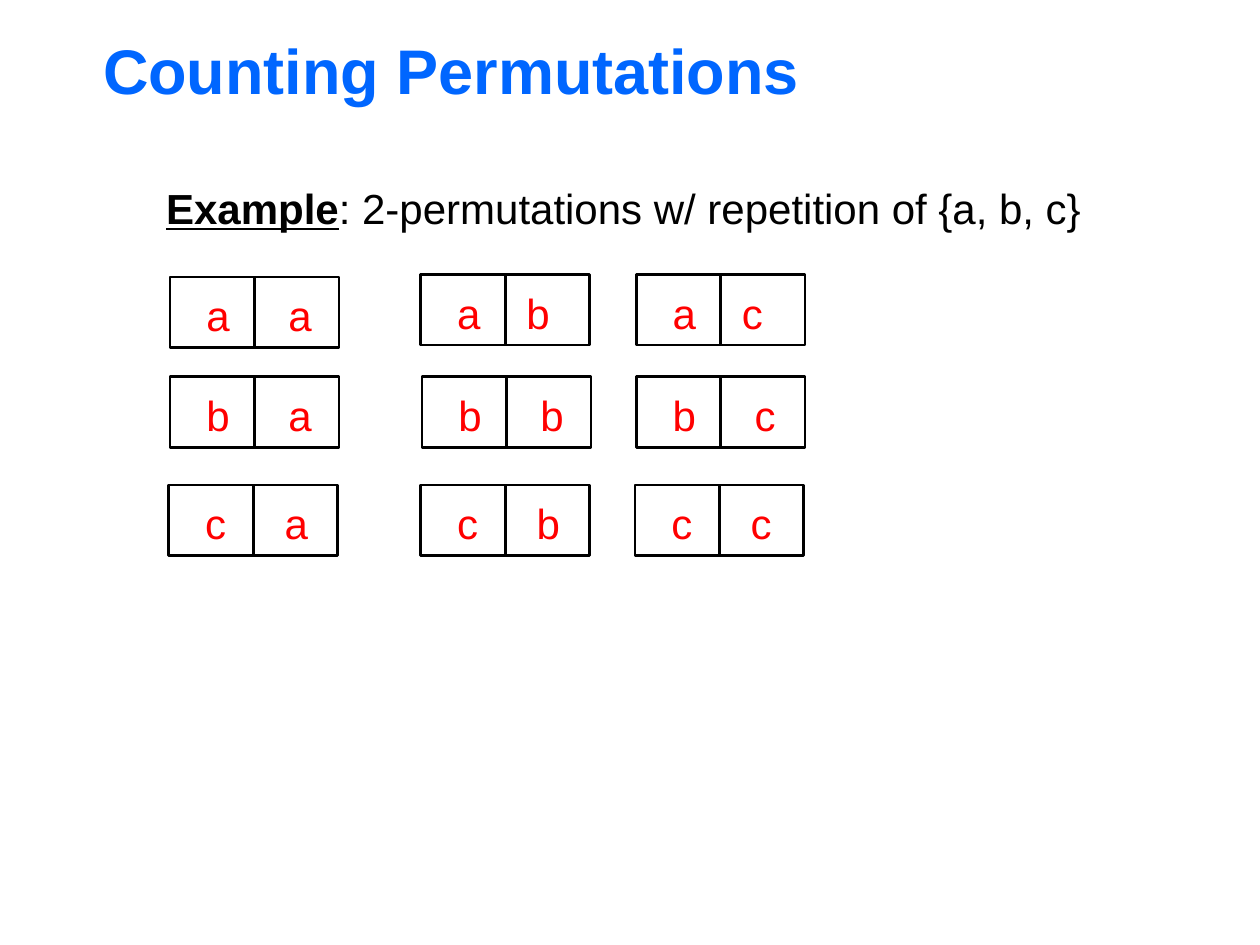
from pptx import Presentation
from pptx.dml.color import RGBColor
from pptx.enum import shapes, text
from pptx.oxml import parse_xml
from pptx.oxml.ns import nsdecls
from pptx.util import Inches, Pt

BLUE = RGBColor(0x00, 0x66, 0xFF)
BLACK = RGBColor(0, 0, 0)
RED = RGBColor(0xFF, 0, 0)
FONT = "Arial"

CELL_WIDTH, CELL_HEIGHT = 0.67, 0.56
WIDE, NARROW = 0.65, 0.55  # distance from first to second letter

# Letters, left, top, letter distance
PAIRS = [
    ("aa", 1.35, 2.2, WIDE), ("ab", 3.34, 2.18, NARROW), ("ac", 5.05, 2.18, NARROW),
    ("ba", 1.35, 2.99, WIDE), ("bb", 3.35, 2.99, WIDE), ("bc", 5.05, 2.99, WIDE),
    ("ca", 1.34, 3.85, 0.63), ("cb", 3.34, 3.85, 0.63), ("cc", 5.04, 3.85, 0.63),
]


def add_text(page, left, top, width, height, spans, size, color):
    """Add one line of text; spans are (words, bold, underline)."""
    box = page.shapes.add_textbox(Inches(left), Inches(top), Inches(width), Inches(height))
    frame = box.text_frame
    frame.word_wrap = True
    para = frame.paragraphs[0]
    for words, bold, underline in spans:
        span = para.add_run()
        span.text = words
        font = span.font
        font.name, font.size, font.bold = FONT, Pt(size), bold
        font.underline = underline
        font.color.rgb = color
    return box


def add_cell(page, left, top):
    cell = page.shapes.add_shape(shapes.MSO_SHAPE.RECTANGLE, Inches(left), Inches(top),
                                 Inches(CELL_WIDTH), Inches(CELL_HEIGHT))
    cell.shadow.inherit = False
    cell.fill.background()
    cell.line.color.rgb = BLACK
    cell.line.width = Pt(1.5)


def add_pair(page, letters, left, top, distance):
    """Add two adjoining cells and their letters, spaced by a tab stop."""
    for index in range(2):
        add_cell(page, left + index * CELL_WIDTH, top)
    box = add_text(page, left + 0.19, top + 0.05, 1.32, 0.5,
                   [("\t".join(letters), False, False)], 24, RED)
    properties = box.text_frame.paragraphs[0]._p.get_or_add_pPr()
    properties.append(parse_xml(
        f'<a:tabLst {nsdecls("a")}><a:tab pos="{Inches(distance)}" algn="l"/></a:tabLst>'))


def main():
    deck = Presentation()
    deck.slide_width, deck.slide_height = Inches(10), Inches(7.5)
    page = deck.slides.add_slide(deck.slide_layouts[6])

    # Title
    title = add_text(page, 0.72, 0.21, 8.5, 0.68,
                     [("Counting Permutations", True, False)], 36, BLUE)
    title.text_frame.vertical_anchor = text.MSO_ANCHOR.MIDDLE

    # Example statement
    add_text(page, 1.22, 1.4, 7.54, 0.5,
             [("Example", True, True),
              (": 2-permutations w/ repetition of {a, b, c}", False, False)], 24, BLACK)

    # All ordered pairs
    for pair in PAIRS:
        add_pair(page, *pair)

    deck.save("out.pptx")


if __name__ == "__main__":
    main()
